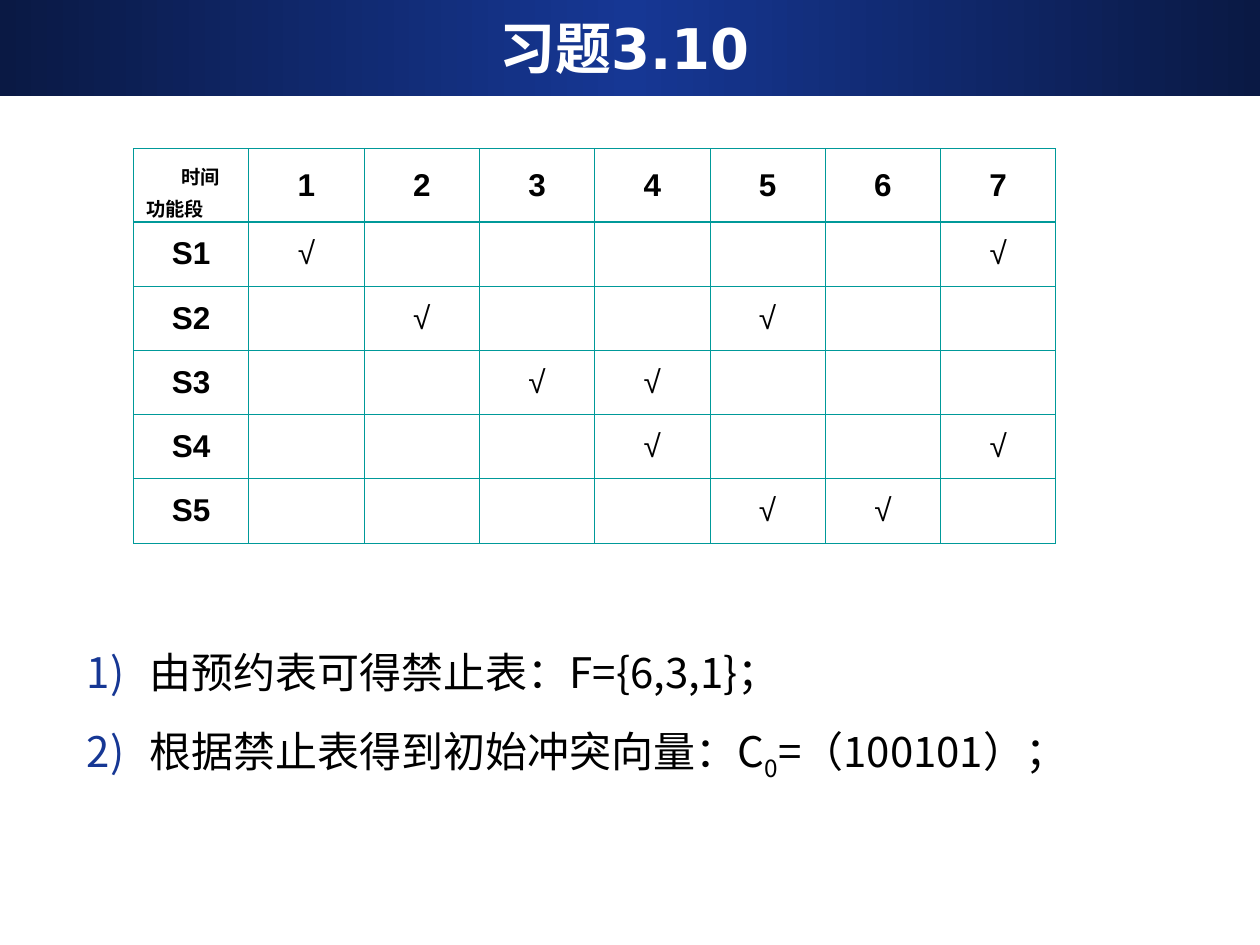
from copy import deepcopy
from dataclasses import dataclass

from lxml.etree import SubElement
from pptx import Presentation
from pptx.dml.color import RGBColor
from pptx.enum.shapes import MSO_SHAPE as Shape
from pptx.enum.text import MSO_ANCHOR as Anchor, PP_ALIGN as Align
from pptx.oxml import parse_xml
from pptx.oxml.ns import nsdecls, qn
from pptx.util import Inches, Pt

COLORS = {
    "navy": "0A1944",
    "blue": "163794",
    "teal": "009999",
    "white": "FFFFFF",
    "black": "000000",
}
CJK_FONT = "Noto Sans CJK SC"
THIN, THICK = 0.45, 0.96


@dataclass(frozen=True)
class TextStyle:
    size: float
    font: str
    color: str = "black"
    bold: bool = False


@dataclass(frozen=True)
class Stage:
    name: str
    busy: tuple[int, ...]


TITLE = TextStyle(32, "DejaVu Sans", "white", True)
BODY = TextStyle(24, CJK_FONT)
HEADING = TextStyle(18, "Arial", bold=True)
AXIS = TextStyle(11, "Arial", bold=True)
MARK = TextStyle(18, "Arial")

TIMES = range(1, 8)
STAGES = (
    Stage("S1", (1, 7)),
    Stage("S2", (2, 5)),
    Stage("S3", (3, 4)),
    Stage("S4", (4, 7)),
    Stage("S5", (5, 6)),
)
# Each answer is a list of (text, is subscript)
ANSWERS = (
    (("由预约表可得禁止表：F={6,3,1}；", False),),
    (("根据禁止表得到初始冲突向量：C", False), ("0", True), ("=（100101）；", False)),
)


def rgb(name: str) -> RGBColor:
    return RGBColor.from_string(COLORS[name])


def add_run(paragraph, text: str, style: TextStyle, subscript: bool = False) -> None:
    run = paragraph.add_run()
    run.text = text
    run.font.size = Pt(style.size)
    run.font.name = style.font
    run.font.bold = style.bold
    run.font.color.rgb = rgb(style.color)
    properties = run.font._element
    SubElement(properties, qn("a:ea")).set("typeface", CJK_FONT)
    if subscript:
        properties.set("baseline", "-25000")


def add_banner(slide, width: int) -> None:
    banner = slide.shapes.add_shape(Shape.RECTANGLE, 0, 0, width, Inches(0.76))
    banner.shadow.inherit = False
    banner.line.fill.background()
    banner.fill.gradient()
    banner.fill.gradient_angle = 0
    first, last = banner.fill.gradient_stops
    for stop, position in ((first, 0), (last, 1)):
        stop.color.rgb = rgb("navy")
        stop.position = position
    # Bright middle stop between the two dark ends
    stops = banner._element.spPr.find(qn("a:gradFill")).find(qn("a:gsLst"))
    stops.insert(1, deepcopy(stops[0]))
    middle = banner.fill.gradient_stops[1]
    middle.color.rgb = rgb("blue")
    middle.position = 0.5
    # Behind the title placeholder
    slide.shapes._spTree.insert(2, banner._element)


def fill_title(title) -> None:
    title.left, title.top = Inches(0.33), Inches(0.06)
    title.width, title.height = Inches(9.25), Inches(0.62)
    frame = title.text_frame
    frame.margin_left = frame.margin_right = frame.margin_top = frame.margin_bottom = 0
    frame.vertical_anchor = Anchor.MIDDLE
    frame.paragraphs[0].alignment = Align.CENTER
    add_run(frame.paragraphs[0], "习题3.10", TITLE)


def format_cell(cell, row: int) -> None:
    cell.fill.background()
    cell.vertical_anchor = Anchor.MIDDLE
    widths = {"L": THIN, "R": THIN,
              "T": THICK if row == 1 else THIN,
              "B": THICK if row == 0 else THIN}
    for index, (side, width) in enumerate(widths.items()):
        cell._tc.tcPr.insert(index, parse_xml(
            f'<a:ln{side} {nsdecls("a")} w="{Pt(width)}"><a:solidFill>'
            f'<a:srgbClr val="{COLORS["teal"]}"/></a:solidFill></a:ln{side}>'))


def write_cell(cell, text: str, style: TextStyle) -> None:
    paragraph = cell.text_frame.paragraphs[0]
    paragraph.alignment = Align.CENTER
    add_run(paragraph, text, style)


def write_corner(cell) -> None:
    cell.vertical_anchor = Anchor.TOP
    cell.margin_top, cell.margin_bottom = Inches(0.08), 0
    frame = cell.text_frame
    time_axis, stage_axis = frame.paragraphs[0], frame.add_paragraph()
    time_axis._p.get_or_add_pPr().set("marL", str(Inches(0.28)))
    for paragraph, text in ((time_axis, "时间"), (stage_axis, "功能段")):
        paragraph.line_spacing = Pt(18)
        add_run(paragraph, text, AXIS)


def add_reservation_table(slide) -> None:
    rows, columns = len(STAGES) + 1, len(TIMES) + 1
    table = slide.shapes.add_table(
        rows, columns, Inches(1.06), Inches(1.18), Inches(7.32), Inches(3.12)).table
    table.first_row = table.horz_banding = False
    for index, row in enumerate(table.rows):
        row.height = Inches(0.51 if index else 0.58)
        for cell in row.cells:
            format_cell(cell, index)

    write_corner(table.cell(0, 0))
    for time in TIMES:
        write_cell(table.cell(0, time), str(time), HEADING)
    for index, stage in enumerate(STAGES, start=1):
        write_cell(table.cell(index, 0), stage.name, HEADING)
        for time in stage.busy:
            write_cell(table.cell(index, time), "√", MARK)


def add_answers(slide) -> None:
    frame = slide.shapes.add_textbox(
        Inches(0.59), Inches(4.88), Inches(8.58), Inches(1.39)).text_frame
    frame.word_wrap = True
    for index, answer in enumerate(ANSWERS):
        paragraph = frame.add_paragraph() if index else frame.paragraphs[0]
        paragraph.line_spacing = 1.5
        # Numbered list with a hanging indent
        properties = paragraph._p.get_or_add_pPr()
        properties.set("marL", str(Inches(0.5)))
        properties.set("indent", str(Inches(-0.5)))
        bullet_color = SubElement(properties, qn("a:buClr"))
        SubElement(bullet_color, qn("a:srgbClr")).set("val", COLORS["blue"])
        SubElement(properties, qn("a:buAutoNum")).set("type", "arabicParenR")
        for text, subscript in answer:
            add_run(paragraph, text, BODY, subscript)


def main() -> None:
    deck = Presentation()
    deck.slide_width, deck.slide_height = Inches(10), Inches(7.5)
    slide = deck.slides.add_slide(deck.slide_layouts.get_by_name("Title Only"))
    add_banner(slide, deck.slide_width)
    fill_title(slide.shapes.title)
    add_reservation_table(slide)
    add_answers(slide)
    deck.save("out.pptx")


if __name__ == "__main__":
    main()
